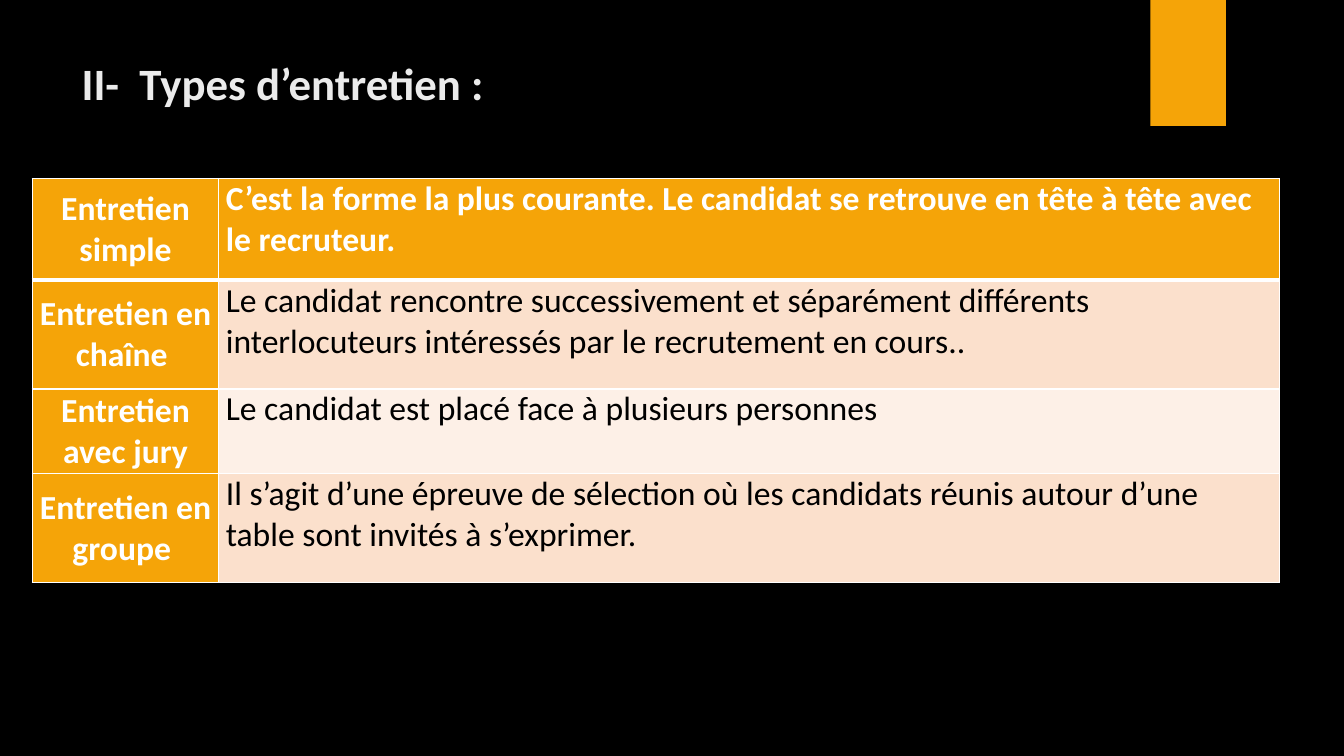
from pptx import Presentation
from pptx.dml.color import RGBColor
from pptx.enum.shapes import MSO_SHAPE as Kind
from pptx.enum.text import MSO_ANCHOR as Anchor, PP_ALIGN as Align
from pptx.oxml import parse_xml
from pptx.oxml.ns import nsdecls
from pptx.util import Inches, Pt

BLACK = RGBColor(0x00, 0x00, 0x00)
WHITE = RGBColor(0xFF, 0xFF, 0xFF)
PALE = RGBColor(0xEB, 0xEB, 0xEB)
AMBER = RGBColor(0xF5, 0xA4, 0x08)
PEACH = RGBColor(0xFB, 0xE0, 0xCC)
CREAM = RGBColor(0xFD, 0xF0, 0xE7)
FONT = "Calibri"

# Content
TITLE = "II-  Types d’entretien :"
TYPES = [
    ("Entretien simple", "C’est la forme la plus courante. Le candidat se "
     "retrouve en tête à tête avec le recruteur."),
    ("Entretien en chaîne\u00a0", "Le candidat rencontre successivement et "
     "séparément différents interlocuteurs intéressés par le recrutement "
     "en cours.."),
    ("Entretien avec jury", "Le candidat est placé face à plusieurs personnes"),
    ("Entretien en groupe\u00a0", "Il s’agit d’une épreuve de sélection où les "
     "candidats réunis autour d’une table sont invités à s’exprimer."),
]
WIDTHS = (1.85, 10.52)
HEIGHTS = (1.01, 1.08, 0.84, 1.08)


def style(para, size, color, bold):
    font = para.font
    font.name, font.size, font.bold = FONT, Pt(size), bold
    font.color.rgb = color


def border(cell, sides):
    for side, width in sides.items():
        cell._tc.get_or_add_tcPr().append(parse_xml(
            f'<a:ln{side} {nsdecls("a")} w="{Pt(width)}"><a:solidFill>'
            f'<a:srgbClr val="{WHITE}"/></a:solidFill></a:ln{side}>'))


def fill_cell(cell, text, back, color, bold):
    cell.text = text
    cell.margin_left = cell.margin_right = Inches(0.07)
    cell.margin_top = cell.margin_bottom = 0
    cell.fill.solid()
    cell.fill.fore_color.rgb = back
    style(cell.text_frame.paragraphs[0], 24, color, bold)


deck = Presentation()
deck.slide_width, deck.slide_height = Inches(13.33), Inches(7.5)
slide = deck.slides.add_slide(deck.slide_layouts[5])
slide.background.fill.solid()
slide.background.fill.fore_color.rgb = BLACK

# Amber tab
tab = slide.shapes.add_shape(
    Kind.RECTANGLE, Inches(11.41), 0, Inches(0.75), Inches(1.25))
tab.shadow.inherit = False
tab.fill.solid()
tab.fill.fore_color.rgb = AMBER
tab.line.fill.background()

# Title
title = slide.shapes.title
title.left, title.top = Inches(0.71), Inches(0.5)
title.width, title.height = Inches(10.29), Inches(0.7)
title.text = TITLE
title.text_frame.vertical_anchor = Anchor.TOP
head = title.text_frame.paragraphs[0]
head.alignment = Align.LEFT
style(head, 32, PALE, True)

# Table of interview types
table = slide.shapes.add_table(
    len(TYPES), len(WIDTHS), Inches(0.32), Inches(1.77),
    Inches(sum(WIDTHS)), Inches(sum(HEIGHTS))).table
table.first_col = True
for col, width in zip(table.columns, WIDTHS):
    col.width = Inches(width)
for i, (pair, height) in enumerate(zip(TYPES, HEIGHTS)):
    table.rows[i].height = Inches(height)
    for j, text in enumerate(pair):
        cell = table.cell(i, j)
        border(cell, {"L": 1, "R": 1, "T": 3 if i == 1 else 1,
                      "B": 3 if i == 0 else 1})
        if i == 0 or j == 0:
            fill_cell(cell, text, AMBER, WHITE, True)
        else:
            fill_cell(cell, text, PEACH if i % 2 else CREAM, BLACK, False)
        if j == 0:
            cell.vertical_anchor = Anchor.MIDDLE
            cell.text_frame.paragraphs[0].alignment = Align.CENTER

deck.save("out.pptx")
